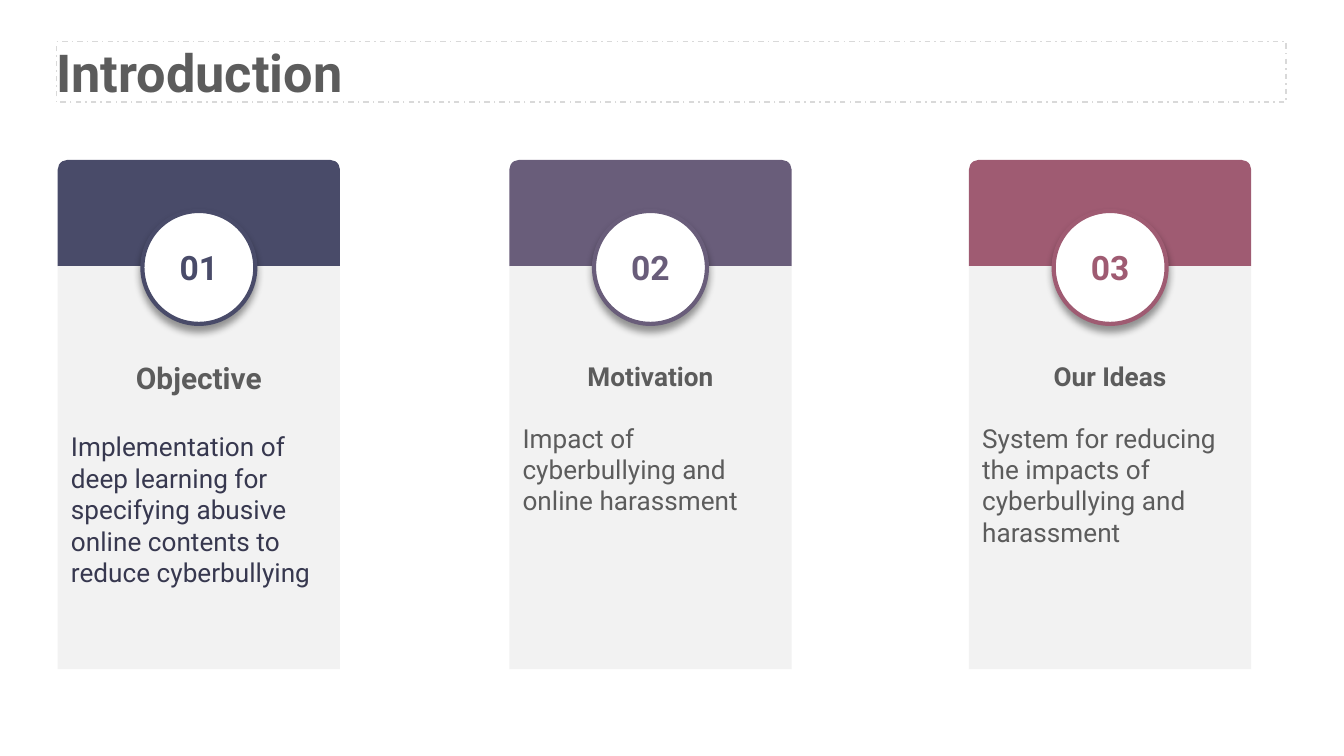
from lxml import etree
from pptx import Presentation
from pptx.dml.color import RGBColor
from pptx.enum.dml import MSO_LINE
from pptx.enum.shapes import MSO_SHAPE
from pptx.enum.text import MSO_ANCHOR, PP_ALIGN
from pptx.oxml.ns import qn
from pptx.util import Pt

RECT, OVAL = MSO_SHAPE.RECTANGLE, MSO_SHAPE.OVAL
ROUND = MSO_SHAPE.ROUND_2_SAME_RECTANGLE
TOP, MIDDLE = MSO_ANCHOR.TOP, MSO_ANCHOR.MIDDLE
LEFT, CENTER = PP_ALIGN.LEFT, PP_ALIGN.CENTER
DASH = MSO_LINE.DASH_DOT

FONT = "Roboto"
GRAY, PALE, WHITE = "5C5C5C", "F2F2F2", "FFFFFF"
TITLE = "Introduction"
CARDS = [
    (30.96, "494B69", "01", "Objective", 16, "37384F",
     "Implementation of deep learning for specifying abusive online contents to reduce cyberbullying"),
    (272.88, "695D7A", "02", "Motivation", 14, GRAY,
     "Impact of cyberbullying and online harassment"),
    (519.12, "9F5B72", "03", "Our Ideas", 14, GRAY,
     "System for reducing the impacts of cyberbullying and harassment"),
]
WIDTH, HEAD_Y, HEAD_H, BODY_H, DISC = 151.2, 85.68, 56.88, 216, 60.48
BODY_Y = HEAD_Y + HEAD_H
DISC_Y = 113.04
LINE_RATIO = 1.17


def color(code):
    return RGBColor.from_string(code)


def add_box(host, kind, x, y, w, h, fill=None, line=None, weight=0.75):
    box = host.add_shape(kind, Pt(x), Pt(y), Pt(w), Pt(h))
    box.shadow.inherit = False
    if fill:
        box.fill.solid()
        box.fill.fore_color.rgb = color(fill)
    else:
        box.fill.background()
    if line:
        box.line.color.rgb = color(line)
        box.line.width = Pt(weight)
    else:
        box.line.fill.background()
    return box


def set_frame(box, anchor, left, top, right, bottom):
    frame = box.text_frame
    frame.word_wrap = True
    frame.vertical_anchor = anchor
    frame.margin_left, frame.margin_top = Pt(left), Pt(top)
    frame.margin_right, frame.margin_bottom = Pt(right), Pt(bottom)
    return frame


def write(para, text, size, code, bold, align):
    para.alignment = align
    run = para.add_run()
    run.text = text
    run.font.name = FONT
    run.font.size = Pt(size)
    run.font.bold = bold
    run.font.color.rgb = color(code)


def add_shade(box):
    effects = box._element.spPr.find(qn("a:effectLst"))
    shade = etree.SubElement(effects, qn("a:outerShdw"), blurRad=str(Pt(4)),
                             dist=str(Pt(3)), dir="5400000", algn="t", rotWithShape="0")
    tint = etree.SubElement(shade, qn("a:srgbClr"), val="000000")
    etree.SubElement(tint, qn("a:alpha"), val="40000")


deck = Presentation()
deck.slide_width, deck.slide_height = Pt(720), Pt(405)
slide = deck.slides.add_slide(deck.slide_layouts[6])
shapes = slide.shapes

title = add_box(shapes, RECT, 30.24, 22.32, 658.8, 32.4, line="D9D9D9")
title.line.dash_style = DASH
frame = set_frame(title, MIDDLE, 0, 0, 0, 0)
write(frame.paragraphs[0], TITLE, 28, GRAY, True, LEFT)

for x, tone, number, name, size, ink, text in CARDS:
    card = shapes.add_group_shape().shapes
    head = add_box(card, ROUND, x, HEAD_Y, WIDTH, HEAD_H, tone)
    head.adjustments[0] = 0.09
    head.adjustments[1] = 0
    body = add_box(card, RECT, x, BODY_Y, WIDTH, BODY_H, PALE)
    frame = set_frame(body, TOP, 7.2, 50.4, 7.2, 3.6)
    write(frame.paragraphs[0], name, size, GRAY, True, CENTER)
    para = frame.add_paragraph()
    para.space_before = Pt(round(size * LINE_RATIO, 1))
    write(para, text, 14, ink, False, LEFT)

for x, tone, number, *rest in CARDS:
    disc = add_box(shapes, OVAL, x + (WIDTH - DISC) / 2, DISC_Y, DISC, DISC, WHITE, tone, 2.25)
    add_shade(disc)
    frame = set_frame(disc, MIDDLE, 7.2, 3.6, 7.2, 3.6)
    write(frame.paragraphs[0], number, 18, tone, True, CENTER)

deck.save("out.pptx")
